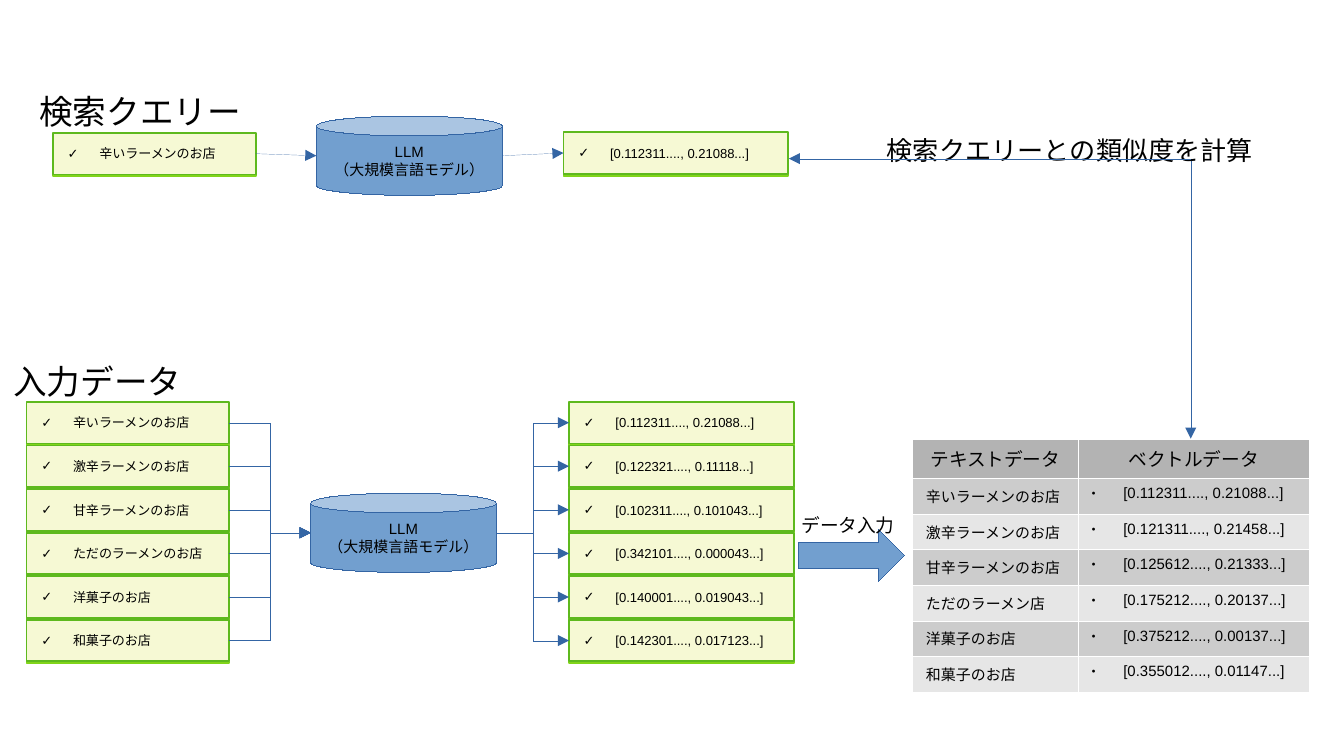
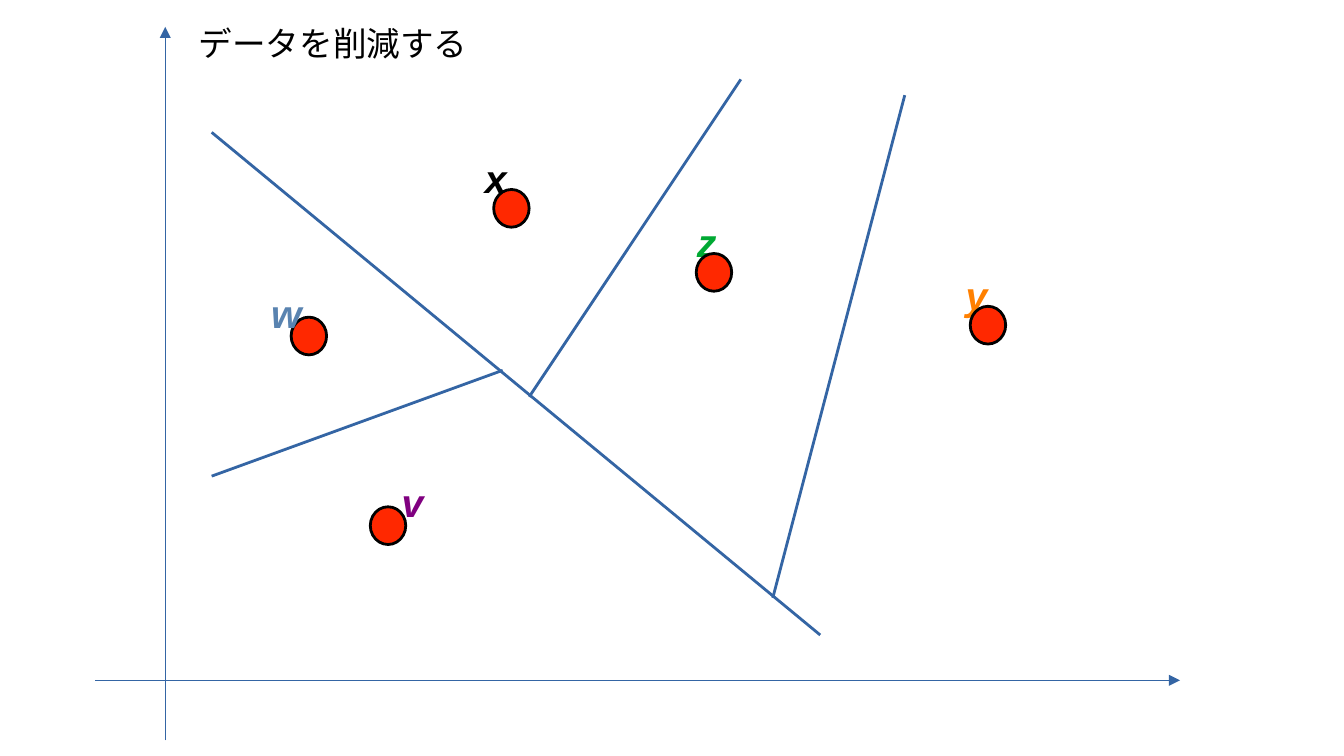
from dataclasses import dataclass

from pptx import Presentation
from pptx.dml.color import RGBColor as Rgb
from pptx.enum.shapes import MSO_CONNECTOR as Link, MSO_SHAPE as Form
from pptx.enum.text import MSO_ANCHOR as Anchor, MSO_AUTO_SIZE as Fit, PP_ALIGN as Align
from pptx.oxml.ns import qn
from pptx.util import Pt
from lxml.etree import SubElement

DISHES = ["辛いラーメンのお店", "激辛ラーメンのお店", "甘辛ラーメンのお店",
          "ただのラーメンのお店", "洋菓子のお店", "和菓子のお店"]
VECTORS = ["[0.112311...., 0.21088...]", "[0.122321...., 0.11118...]",
           "[0.102311...., 0.101043...]", "[0.342101...., 0.000043...]",
           "[0.140001...., 0.019043...]", "[0.142301...., 0.017123...]"]
MODEL = "LLM\n（大規模言語モデル）"
INDEX_HEADER = ("テキストデータ", "ベクトルデータ")
INDEX_ROWS = [
    ("辛いラーメンのお店", "[0.112311...., 0.21088...]"),
    ("激辛ラーメンのお店", "[0.121311...., 0.21458...]"),
    ("甘辛ラーメンのお店", "[0.125612...., 0.21333...]"),
    ("ただのラーメン店", "[0.175212...., 0.20137...]"),
    ("洋菓子のお店", "[0.375212...., 0.00137...]"),
    ("和菓子のお店", "[0.355012...., 0.01147...]"),
]
INDEX_COLUMNS = (88.8, 123.6)

AXES = [((88.5, 396.7), (88.5, 14.4)), ((51, 364.5), (632.2, 364.5))]
BOUNDARIES = [((113.4, 70.9), (439.4, 340.2)), ((113.4, 255.1), (269.3, 198.4)),
              ((283.5, 212.6), (396.9, 42.5)), ((484.7, 51), (414, 320.3))]
DOTS = [(156, 169.9), (198.4, 271.5), (519.8, 164.1), (373, 135.8), (264.5, 101.5)]
LABELS_BEHIND = [("x", "000000", 252.7, 79.2), ("z", "00A933", 366.2, 113.2),
                 ("y", "FF8000", 510.2, 141.8)]
LABELS_IN_FRONT = [("v", "800080", 208.1, 252.7), ("w", "5983B0", 138.2, 151.2)]


@dataclass(frozen=True)
class Theme:
    font: str = "Arial"
    text: str = "000000"
    stroke: str = "3465A4"
    body: str = "729FCF"
    card: str = "F6F9D4"
    card_edge: str = "5EB91E"
    card_shadow: str = "81D41A"
    dot: str = "FF2800"
    table_head: str = "B3B3B3"
    table_bands: tuple = ("CCCCCC", "E6E6E6")
    table_edge: str = "FFFFFF"
    heading: float = 18
    note: float = 14
    caption: float = 10
    letter: float = 21
    label: float = 8
    small: float = 7
    hairline: float = 0
    thick: float = 1.5
    indent: float = 17


THEME = Theme()
CARD_HEIGHT, CARD_PITCH = 22.3, 23.35
DISH_WIDTH, VECTOR_WIDTH = 108.7, 120.5


def color(code):
    return Rgb.from_string(code)


def put_text(frame, text, size, align=Align.LEFT, code=THEME.text, strong=False):
    frame.text = text
    for paragraph in frame.paragraphs:
        paragraph.alignment = align
        for run in paragraph.runs:
            font = run.font
            font.name, font.size = THEME.font, Pt(size)
            font.bold = font.italic = strong
            font.color.rgb = color(code)


def add_bullet(paragraph, mark, percent=100):
    props = paragraph._p.get_or_add_pPr()
    props.set("marL", str(Pt(THEME.indent)))
    props.set("indent", str(-Pt(THEME.indent)))
    SubElement(SubElement(props, qn("a:buClr")), qn("a:srgbClr"), val=THEME.text)
    SubElement(props, qn("a:buSzPct"), val=str(percent * 1000))
    SubElement(props, qn("a:buFont"), typeface=THEME.font)
    SubElement(props, qn("a:buChar"), char=mark)


def set_stroke(shape, code, weight):
    shape.line.color.rgb = color(code)
    stroke = shape.line._get_or_add_ln()
    stroke.set("w", str(Pt(weight)))
    return stroke


def add_form(slide, form, left, top, width, height, fill, edge, weight=THEME.hairline):
    shape = slide.shapes.add_shape(form, Pt(left), Pt(top), Pt(width), Pt(height))
    shape.shadow.inherit = False
    shape.fill.solid()
    shape.fill.fore_color.rgb = color(fill)
    set_stroke(shape, edge, weight)
    return shape


def add_card(slide, text, left, top, width):
    card = add_form(slide, Form.RECTANGLE, left, top, width, CARD_HEIGHT,
                    THEME.card, THEME.card_edge, 1)
    effects = card._element.spPr.find(qn("a:effectLst"))
    shadow = SubElement(effects, qn("a:outerShdw"), blurRad="0", dist=str(Pt(1)),
                        dir="5400000", algn="ctr", rotWithShape="0")
    SubElement(shadow, qn("a:srgbClr"), val=THEME.card_shadow)
    frame = card.text_frame
    frame.margin_left = frame.margin_right = Pt(7.9)
    frame.margin_top = frame.margin_bottom = Pt(4.3)
    frame.vertical_anchor = Anchor.MIDDLE
    put_text(frame, text, THEME.small)
    add_bullet(frame.paragraphs[0], "✓")
    return card


def add_cards(slide, texts, left, top, width):
    return [add_card(slide, text, left, top + row * CARD_PITCH, width)
            for row, text in enumerate(texts)]


def add_model(slide, left, top):
    model = add_form(slide, Form.CAN, left, top, 99.6, 42.5, THEME.body, THEME.stroke)
    model.text_frame.vertical_anchor = Anchor.MIDDLE
    put_text(model.text_frame, MODEL, THEME.label, Align.CENTER)
    return model


def add_note(slide, text, left, top, width, height, size, wrap=False, **style):
    note = slide.shapes.add_textbox(Pt(left), Pt(top), Pt(width), Pt(height))
    note.text_frame.word_wrap = wrap
    note.text_frame.auto_size = Fit.SHAPE_TO_FIT_TEXT
    put_text(note.text_frame, text, size, **style)


def add_link(slide, start, end, kind=Link.STRAIGHT, weight=THEME.hairline, arrow=True):
    link = slide.shapes.add_connector(kind, *map(Pt, start + end))
    stroke = set_stroke(link, THEME.stroke, weight)
    if arrow:
        SubElement(stroke, qn("a:tailEnd"), type="triangle")
    SubElement(link._element.spPr, qn("a:effectLst"))
    return link


def left_of(shape):
    return shape.left.pt, shape.top.pt + shape.height.pt / 2


def right_of(shape):
    return shape.left.pt + shape.width.pt, shape.top.pt + shape.height.pt / 2


def style_cell(cell, text, size, fill, align=Align.LEFT):
    put_text(cell.text_frame, text, size, align)
    cell.fill.solid()
    cell.fill.fore_color.rgb = color(fill)
    props = cell._tc.get_or_add_tcPr()
    for place, side in enumerate(("a:lnL", "a:lnR", "a:lnT", "a:lnB")):
        edge = props.makeelement(qn(side), {"w": str(Pt(0.06))})
        SubElement(SubElement(edge, qn("a:solidFill")), qn("a:srgbClr"), val=THEME.table_edge)
        props.insert(place, edge)


def add_index(slide, left, top):
    heights = [21.3] + [19.08] * len(INDEX_ROWS)
    index = slide.shapes.add_table(len(heights), len(INDEX_COLUMNS), Pt(left), Pt(top),
                                   Pt(sum(INDEX_COLUMNS)), Pt(sum(heights))).table
    for column, width in zip(index.columns, INDEX_COLUMNS):
        column.width = Pt(width)
    for row, height in zip(index.rows, heights):
        row.height = Pt(height)
    for column, title in enumerate(INDEX_HEADER):
        style_cell(index.cell(0, column), title, THEME.caption, THEME.table_head, Align.CENTER)
    for row, entry in enumerate(INDEX_ROWS, 1):
        for column, text in enumerate(entry):
            style_cell(index.cell(row, column), text, THEME.label,
                       THEME.table_bands[(row - 1) % 2])
        add_bullet(index.cell(row, 1).text_frame.paragraphs[0], "●", 45)


def build_search(slide):
    dishes = add_cards(slide, DISHES, 14.2, 215.3, DISH_WIDTH)
    model = add_model(slide, 166.4, 264.2)
    vectors = add_cards(slide, VECTORS, 304.8, 215.3, VECTOR_WIDTH)
    for dish in dishes:
        add_link(slide, right_of(dish), left_of(model), Link.ELBOW)
    for vector in vectors:
        add_link(slide, right_of(model), left_of(vector), Link.ELBOW)

    query = add_card(slide, DISHES[0], 28.3, 71.2, DISH_WIDTH)
    add_note(slide, "検索クエリー", 14, 45.4, 122.4, 33.1, THEME.heading)
    query_vector = add_card(slide, VECTORS[0], 301.9, 70.8, VECTOR_WIDTH)
    add_index(slide, 488.8, 235)
    add_form(slide, Form.RIGHT_ARROW, 427.7, 283.5, 56.9, 28.1, THEME.body, THEME.stroke)
    add_note(slide, "データ入力", 422.3, 271.6, 67.7, 21.6, THEME.caption, wrap=True)
    query_model = add_model(slide, 169.5, 62.2)
    add_link(slide, right_of(query), left_of(query_model)).begin_connect(query, 3)
    add_link(slide, right_of(query_model), left_of(query_vector)).end_connect(query_vector, 1)

    corner = (637.9, 85)
    add_link(slide, corner, (637.9, 235))
    add_note(slide, "検索クエリーとの類似度を計算", 468, 68.4, 212.4, 51.1, THEME.note, wrap=True)
    add_note(slide, "入力データ", 0, 190.1, 104.4, 33.1, THEME.heading)
    add_link(slide, corner, (422.6, 85))


def add_letters(slide, letters):
    for letter, code, left, top in letters:
        add_note(slide, letter, left, top, 31.7, 34.6, THEME.letter, code=code, strong=True)


def build_regions(slide):
    for start, end in AXES:
        add_link(slide, start, end)
    add_letters(slide, LABELS_BEHIND)
    for left, top in DOTS:
        add_form(slide, Form.OVAL, left, top, 19, 20.2, THEME.dot, THEME.text, THEME.thick)
    for start, end in BOUNDARIES:
        add_link(slide, start, end, weight=THEME.thick, arrow=False)
    add_letters(slide, LABELS_IN_FRONT)
    add_note(slide, "データを削減する", 99.4, 8.6, 158.4, 33.1, THEME.heading)


def main():
    deck = Presentation()
    deck.slide_width, deck.slide_height = Pt(720), Pt(405)
    for build in (build_search, build_regions):
        build(deck.slides.add_slide(deck.slide_layouts[6]))
    deck.save("out.pptx")


if __name__ == "__main__":
    main()
